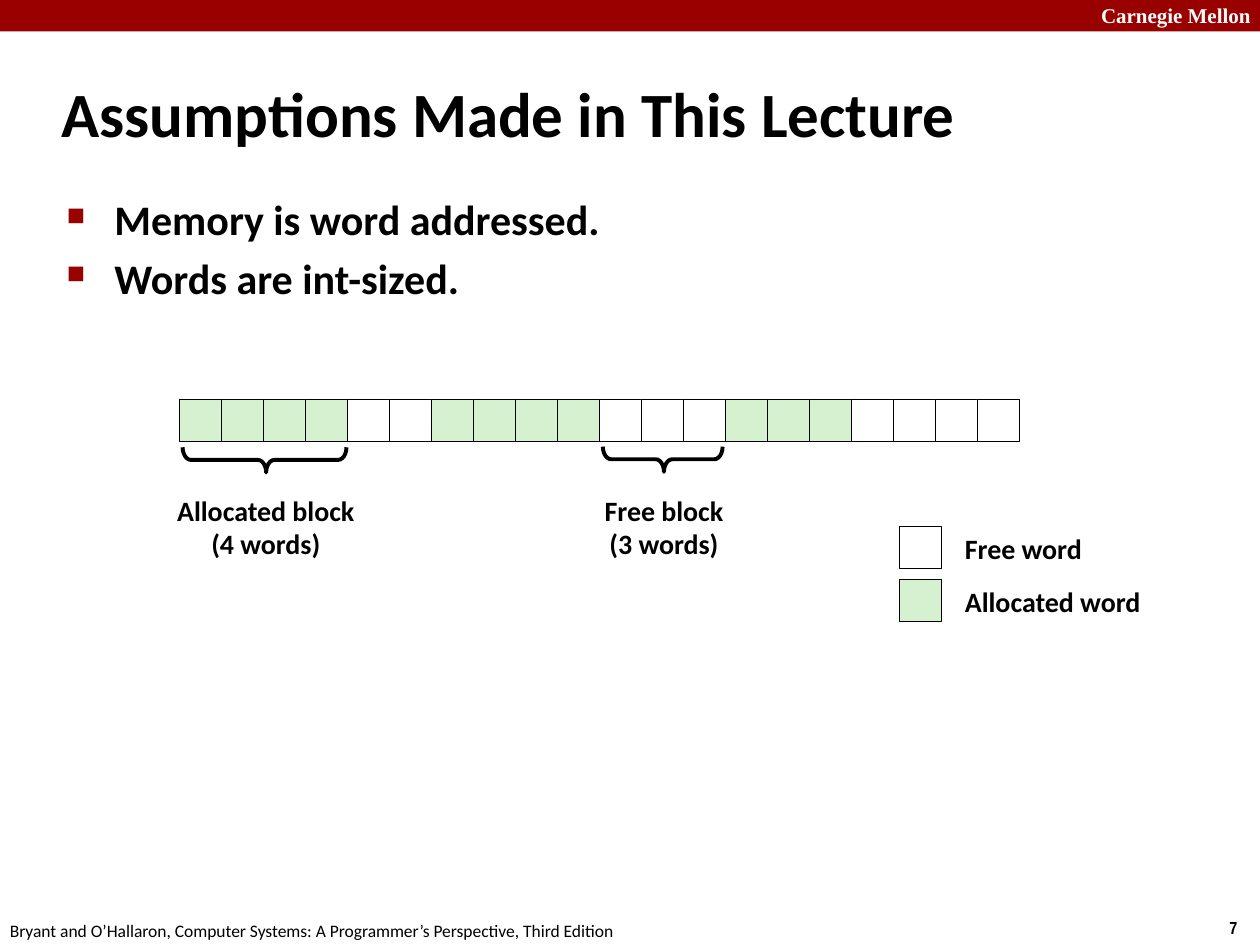
"""Build the slide on word-addressed memory with allocated and free blocks."""
from lxml.etree import SubElement
from pptx import Presentation
from pptx.dml.color import RGBColor
from pptx.enum.shapes import MSO_SHAPE as SHAPE
from pptx.enum.text import MSO_ANCHOR as ANCHOR, PP_ALIGN as ALIGN
from pptx.oxml.ns import qn
from pptx.util import Inches, Pt

RED, GREEN, WHITE, BLACK = "990000", "D5F1CF", "FFFFFF", "000000"


def rgb(value):
    return RGBColor.from_string(value)


def add_text(text, x, y, w, h, size=16, font="Calibri", color=BLACK, bold=True,
             align=ALIGN.LEFT, anchor=ANCHOR.TOP, wrap=False, spacing=None,
             before=0, bullet=None):
    tf = s.shapes.add_textbox(Inches(x), Inches(y), Inches(w), Inches(h)).text_frame
    tf.word_wrap = wrap
    tf.vertical_anchor = anchor
    for i, line in enumerate(text.split("\n")):
        p = tf.paragraphs[0] if i == 0 else tf.add_paragraph()
        p.alignment = align
        if spacing:
            p.line_spacing = spacing
        if before and i:
            p.space_before = Pt(before)
        if bullet:
            pPr = p._p.get_or_add_pPr()
            pPr.set("marL", str(Inches(0.38)))
            pPr.set("indent", str(Inches(-0.38)))
            SubElement(SubElement(pPr, qn("a:buClr")), qn("a:srgbClr"), val=RED)
            SubElement(pPr, qn("a:buSzPct"), val="60000")
            SubElement(pPr, qn("a:buChar"), char=bullet)
        r = p.add_run()
        r.text = line
        r.font.size = Pt(size)
        r.font.name = font
        r.font.bold = bold
        r.font.color.rgb = rgb(color)


prs = Presentation()
prs.slide_width, prs.slide_height = Inches(10), Inches(7.5)
s = prs.slides.add_slide(prs.slide_layouts[6])

bar = s.shapes.add_shape(SHAPE.RECTANGLE, 0, 0, prs.slide_width, Inches(0.25))
bar.shadow.inherit = False
bar.fill.solid()
bar.fill.fore_color.rgb = rgb(RED)
bar.line.fill.background()

add_text("Carnegie Mellon", 8.64, -0.03, 1.43, 0.3, size=12,
         font="Times New Roman", color=WHITE, wrap=True)
add_text("7", 9.66, 7.23, 0.34, 0.27, size=10, font="Arial Narrow")
add_text("Bryant and O’Hallaron, Computer Systems: A Programmer’s Perspective, Third Edition",
         -0.02, 7.25, 5.08, 0.27, size=10, bold=False)
add_text("Assumptions Made in This Lecture", 0.39, 0.48, 8.3, 0.83, size=36,
         anchor=ANCHOR.MIDDLE, wrap=True)
add_text("Memory is word addressed.\nWords are int-sized.", 0.43, 1.49, 8.64, 5.44,
         size=24, wrap=True, before=4.8, bullet="■")

word = 1 / 3
heap = [GREEN] * 4 + [WHITE] * 2 + [GREEN] * 4 + [WHITE] * 3 + [GREEN] * 3 + [WHITE] * 4
cells = [(1.42 + i * word, 3.17, color) for i, color in enumerate(heap)]
legend = [("Free word", 4.18, WHITE, 1.14), ("Allocated word", 4.6, GREEN, 1.61)]
cells += [(7.14, y, color) for _, y, color, _ in legend]

for x, y, color in cells:
    sp = s.shapes.add_shape(SHAPE.RECTANGLE, Inches(x), Inches(y), Inches(word), Inches(word))
    sp.shadow.inherit = False
    sp.fill.solid()
    sp.fill.fore_color.rgb = rgb(color)
    sp.line.color.rgb = rgb(BLACK)
    sp.line.width = Pt(0.25)

for label, y, _, w in legend:
    add_text(label, 7.56, y, w, 0.37, spacing=0.98)

for label, x, w, brace_x, brace_y, length in [
    ("Allocated block\n(4 words)", 1.3, 1.62, 2, 3, 1.3),
    ("Free block\n(3 words)", 4.67, 1.2, 5.16, 3.17, 0.95),
]:
    add_text(label, x, 3.88, w, 0.63, align=ALIGN.CENTER, spacing=0.98)
    brace = s.shapes.add_shape(SHAPE.LEFT_BRACE, Inches(brace_x), Inches(brace_y),
                               Inches(0.2), Inches(length))
    brace.rotation = 270
    brace.adjustments[0] = 0.33
    brace.adjustments[1] = 0.51
    brace.shadow.inherit = False
    brace.fill.background()
    brace.line.color.rgb = rgb(BLACK)
    brace.line.width = Pt(2.25)

prs.save("out.pptx")
